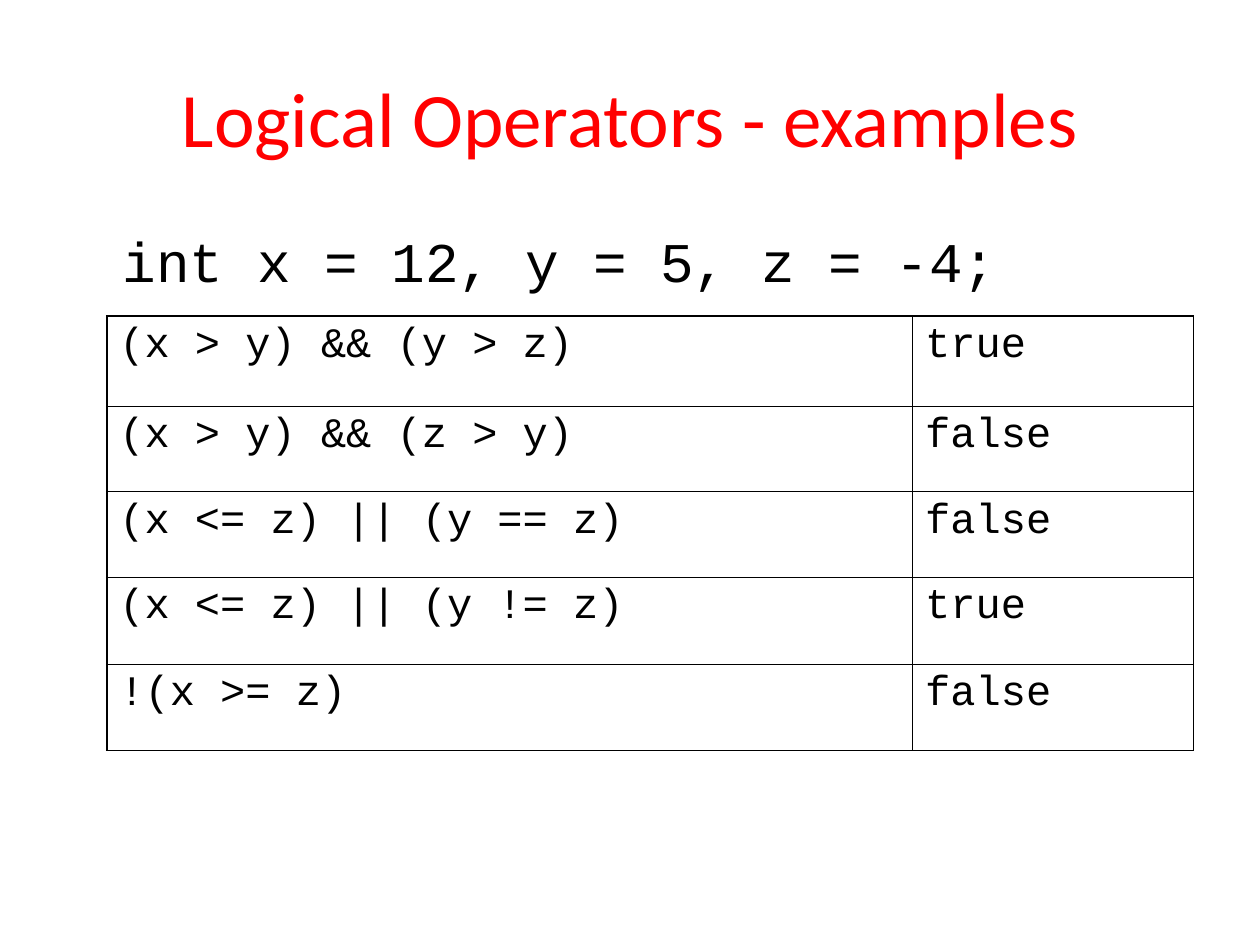
from lxml import etree
from pptx import Presentation
from pptx.dml.color import RGBColor
from pptx.enum.text import MSO_ANCHOR, PP_ALIGN
from pptx.oxml.ns import qn
from pptx.util import Pt

MIDDLE, TOP = MSO_ANCHOR.MIDDLE, MSO_ANCHOR.TOP
CENTER, LEFT = PP_ALIGN.CENTER, PP_ALIGN.LEFT

TITLE = "Logical Operators - examples"
DECLARATION = "int x = 12, y = 5, z = -4;"
EXAMPLES = [
    ("(x > y) && (y > z)", "true"),
    ("(x > y) && (z > y)", "false"),
    ("(x <= z) || (y == z)", "false"),
    ("(x <= z) || (y != z)", "true"),
    ("!(x >= z)", "false"),
]
COL_WIDTHS = [460.5, 160.5]
ROW_HEIGHTS = [51.5, 49, 49, 49.5, 49.5]
OUTER, INNER = 1.08, 0.45

TITLE_FONT = {"name": "Calibri", "size": Pt(44), "color": "FF0000"}
CODE_FONT = {"name": "Courier New", "size": Pt(32), "color": "000000"}
CELL_FONT = {**CODE_FONT, "size": Pt(24)}


def paint(color, value):
    color.rgb = RGBColor.from_string(value)


def write(tf, text, align, font):
    p = tf.paragraphs[0]
    p.alignment = align
    r = p.add_run()
    r.text = text
    for key, value in font.items():
        if key == "color":
            paint(r.font.color, value)
        else:
            setattr(r.font, key, value)
    return p


def place(shape, *box):
    for key, value in zip(("left", "top", "width", "height"), box):
        setattr(shape, key, Pt(value))


def set_borders(cell, widths):
    tcPr = cell._tc.get_or_add_tcPr()
    for side, width in widths.items():
        ln = etree.SubElement(tcPr, qn("a:ln" + side), w=str(Pt(width)))
        fill = etree.SubElement(ln, qn("a:solidFill"))
        etree.SubElement(fill, qn("a:srgbClr"), val="000000")


def add_examples(s):
    rows, cols = len(EXAMPLES), len(COL_WIDTHS)
    box = (61, 180.5, sum(COL_WIDTHS), sum(ROW_HEIGHTS))
    table = s.shapes.add_table(rows, cols, *map(Pt, box)).table
    table.first_row = table.horz_banding = False
    for col, width in zip(table.columns, COL_WIDTHS):
        col.width = Pt(width)
    for i, (example, height) in enumerate(zip(EXAMPLES, ROW_HEIGHTS)):
        table.rows[i].height = Pt(height)
        for j, text in enumerate(example):
            cell = table.cell(i, j)
            edges = {"L": j == 0, "R": j == cols - 1, "T": i == 0, "B": i == rows - 1}
            set_borders(cell, {k: OUTER if v else INNER for k, v in edges.items()})
            cell.fill.background()
            cell.vertical_anchor = TOP
            write(cell.text_frame, text, LEFT, CELL_FONT)


def main():
    """Build the logical operators slide."""
    prs = Presentation()
    prs.slide_width, prs.slide_height = Pt(720), Pt(540)
    s = prs.slides.add_slide(prs.slide_layouts[5])

    title = s.shapes.title
    place(title, 36, 21.6, 648, 90)
    title.text_frame.vertical_anchor = MIDDLE
    write(title.text_frame, TITLE, CENTER, TITLE_FONT)

    tf = s.shapes.add_textbox(Pt(36), Pt(126), Pt(648), Pt(356.4)).text_frame
    tf.word_wrap = True
    p = write(tf, DECLARATION, LEFT, CODE_FONT)
    p._p.get_or_add_pPr().set("marL", str(Pt(27)))

    add_examples(s)
    prs.save("out.pptx")


if __name__ == "__main__":
    main()
